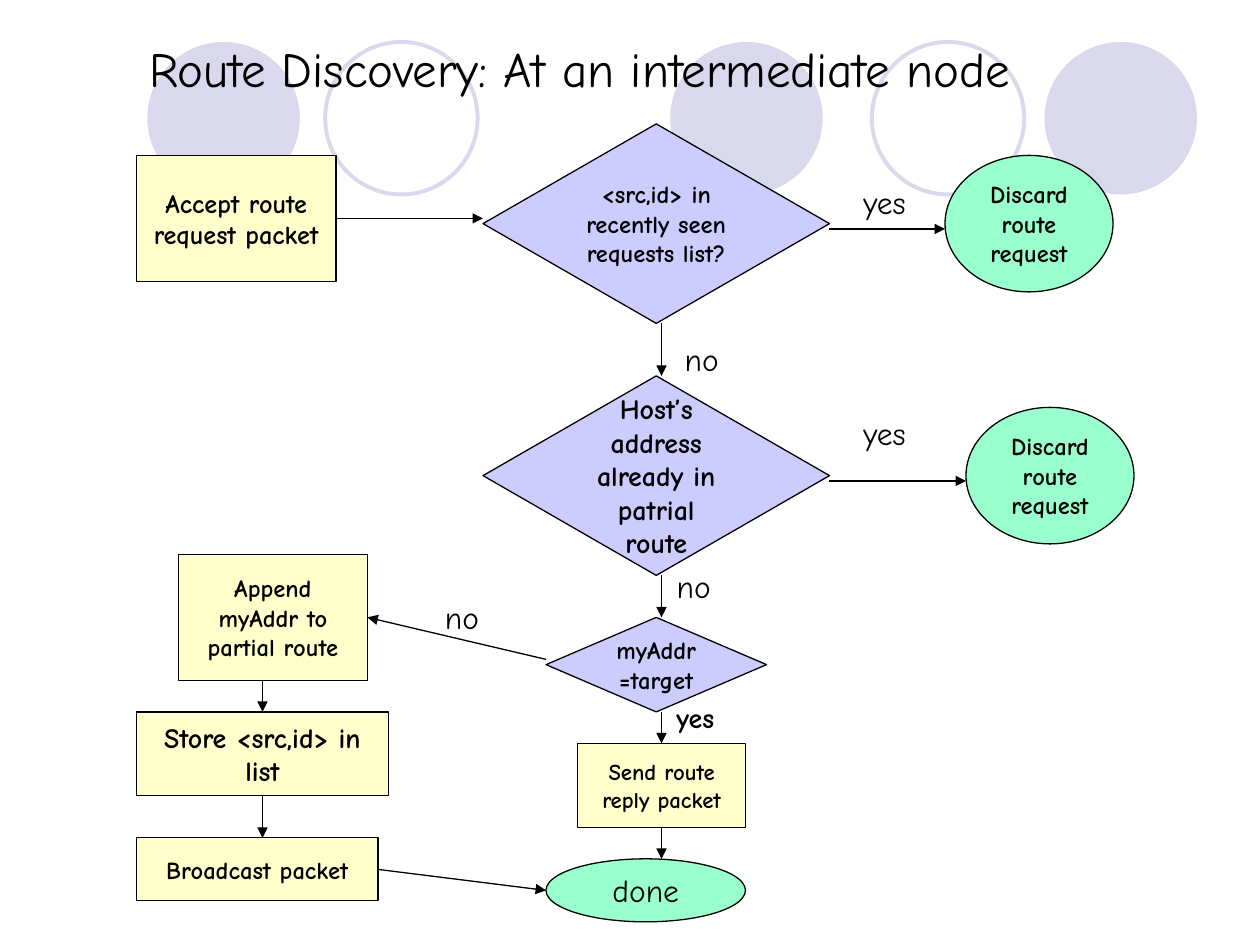
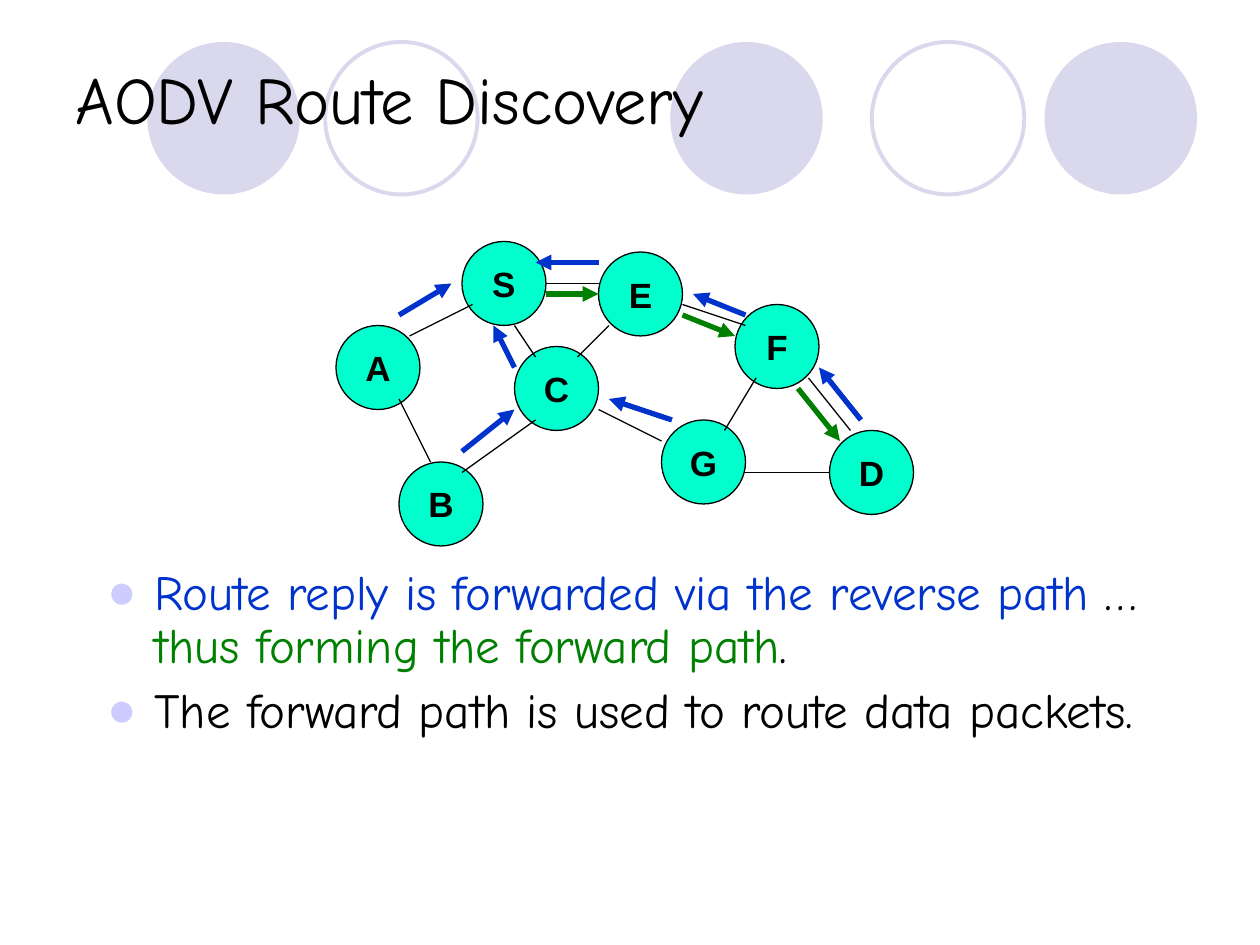
from lxml import etree
from pptx import Presentation
from pptx.dml.color import RGBColor
from pptx.enum.shapes import MSO_CONNECTOR, MSO_SHAPE
from pptx.enum.text import MSO_ANCHOR, MSO_AUTO_SIZE, PP_ALIGN
from pptx.oxml.ns import qn
from pptx.util import Pt

RECT, OVAL, DIAMOND = MSO_SHAPE.RECTANGLE, MSO_SHAPE.OVAL, MSO_SHAPE.DIAMOND
STRAIGHT = MSO_CONNECTOR.STRAIGHT
MIDDLE, BOTTOM = MSO_ANCHOR.MIDDLE, MSO_ANCHOR.BOTTOM
LEFT, CENTER = PP_ALIGN.LEFT, PP_ALIGN.CENTER

BLACK, BAND, LILAC = "000000", "D9D8EC", "CCCCFF"
CREAM, MINT, AQUA = "FFFFCC", "99FFCC", "00FFCC"
BLUE, GREEN = "0033CC", "008000"
COMIC, ARIAL = "Comic Neue", "Arial"


# Shared helpers
def rgb(code):
    return RGBColor.from_string(code)


def style(para, size, font=COMIC, bold=False, align=CENTER):
    para.alignment = align
    for run in para.runs:
        run.font.name, run.font.size, run.font.bold = font, Pt(size), bold
        run.font.color.rgb = rgb(BLACK)


def place(shape, box):
    shape.left, shape.top, shape.width, shape.height = map(Pt, box)


def draw(slide, kind, box, fill, line=BLACK, width=0.75):
    shape = slide.shapes.add_shape(kind, *map(Pt, box))
    shape.shadow.inherit = False
    if fill:
        shape.fill.solid()
        shape.fill.fore_color.rgb = rgb(fill)
    else:
        shape.fill.background()
    if line:
        shape.line.color.rgb = rgb(line)
        shape.line.width = Pt(width)
    else:
        shape.line.fill.background()
    return shape


def write(shape, text, size, font=COMIC, bold=True, wrap=True):
    frame = shape.text_frame
    frame.text = text
    frame.word_wrap = wrap
    frame.vertical_anchor = MIDDLE
    style(frame.paragraphs[0], size, font, bold)


def link(slide, origin, ends, color=BLACK, width=0.75, arrow=True):
    x, y = origin
    x1, y1, x2, y2 = ends
    line = slide.shapes.add_connector(
        STRAIGHT, Pt(x + x1), Pt(y + y1), Pt(x + x2), Pt(y + y2))
    line.line.color.rgb = rgb(color)
    line.line.width = Pt(width)
    props = line.element.spPr
    if arrow:
        etree.SubElement(props.find(qn("a:ln")), qn("a:tailEnd"), type="triangle")
    etree.SubElement(props, qn("a:effectLst"))
    return line


def head(slide, text, box, size, anchor):
    title = slide.shapes.title
    place(title, box)
    frame = title.text_frame
    frame.text = text
    frame.word_wrap = True
    frame.auto_size = MSO_AUTO_SIZE.NONE
    frame.vertical_anchor = anchor
    style(frame.paragraphs[0], size, align=LEFT)


# Row of circles on the master, behind everything
def add_band(prs, slide):
    tree = prs.slide_master.shapes.element
    circles = [(84.2, True), (185.8, False), (383, True),
               (498.2, False), (596.9, True)]
    for i, (x, solid) in enumerate(circles):
        box = (x, 24, 87.1, 87.1)
        if solid:
            disc = draw(slide, OVAL, box, BAND, None)
        else:
            disc = draw(slide, OVAL, box, None, BAND, 2.25)
        disc.element.nvSpPr.cNvPr.id = 100 + i
        tree.insert(2 + i, disc.element)


# Flow chart of the decisions at a node
def add_flow(slide, origin):
    x, y = origin
    steps = {
        "accept": (RECT, CREAM, (0, 18, 114, 72), "Accept route request packet", 15),
        "seen": (DIAMOND, LILAC, (198, 0, 198, 114),
                 "<src,id> in recently seen requests list?", 14),
        "drop": (OVAL, MINT, (462, 18, 96, 78), "Discard route request", 14),
        "host": (DIAMOND, LILAC, (198, 144, 198, 114),
                 "Host’s address already in patrial route", 16),
        "loop": (OVAL, MINT, (474, 162, 96, 78), "Discard route request", 14),
        "target": (DIAMOND, LILAC, (234, 282, 126, 54), "myAddr=target", 14),
        "append": (RECT, CREAM, (24, 246, 108, 72), "Append myAddr to partial route", 14),
        "store": (RECT, CREAM, (0, 336, 144, 48), "Store <src,id> in list", 16),
        "cast": (RECT, CREAM, (0, 408, 138, 36), "Broadcast packet", 14),
        "send": (RECT, CREAM, (252, 354, 96, 48), "Send route reply packet", 13),
        "done": (OVAL, MINT, (234, 420, 114, 36), "done", 18),
    }
    shapes = {}
    for name, (kind, fill, (dx, dy, w, h), text, size) in steps.items():
        shapes[name] = draw(slide, kind, (x + dx, y + dy, w, h), fill)
        write(shapes[name], text, size, bold=name != "done")

    # Arrows: ends, then the joined start and finish as (step, side)
    arrows = [
        ((114, 54, 198, 54), ("accept", 3), None),
        ((396, 60, 462, 60), None, None),
        ((300, 114, 300, 144), None, None),
        ((396, 204, 474, 204), None, None),
        ((300, 258, 300, 282), None, None),
        ((234, 306, 132, 282), None, ("append", 3)),
        ((72, 318, 72, 336), None, ("store", 0)),
        ((72, 384, 72, 408), ("store", 2), None),
        ((138, 426, 234, 438), ("cast", 3), None),
        ((300, 336, 300, 354), None, ("send", 0)),
        ((300, 402, 300, 420), ("send", 2), None),
    ]
    for ends, start, stop in arrows:
        line = link(slide, origin, ends)
        if start:
            line.begin_connect(shapes[start[0]], start[1])
        if stop:
            line.end_connect(shapes[stop[0]], stop[1])

    # Answers beside the arrows
    answers = [("yes", 408, 30, 39, 18), ("no", 306, 120, 34, 18),
               ("yes", 408, 162.5, 39, 18), ("no", 301.4, 249.6, 34, 18),
               ("no", 169, 267.6, 34, 18), ("yes", 301.4, 326, 36, 16)]
    for text, dx, dy, w, size in answers:
        label = slide.shapes.add_textbox(Pt(x + dx), Pt(y + dy), Pt(w), Pt(28.8))
        label.text_frame.text = text
        label.text_frame.word_wrap = False
        style(label.text_frame.paragraphs[0], size, bold=size == 16)


# Network of nodes with reply and forward paths
def add_net(slide, origin):
    x, y = origin
    nodes = {"A": (0, 48), "S": (72, 0), "E": (150, 6), "F": (228, 36),
             "B": (36, 126), "C": (102, 60), "G": (186, 102), "D": (282, 108)}
    for name, (dx, dy) in nodes.items():
        node = draw(slide, OVAL, (x + dx, y + dy, 48, 48), AQUA)
        write(node, name, 20, ARIAL, wrap=False)

    wires = [(42, 54, 78, 36), (36, 90, 54, 126), (114, 102, 72, 132),
             (156, 48, 138, 66), (198, 36, 234, 48), (240, 78, 222, 108),
             (150, 96, 186, 114), (150, 24, 120, 24), (102, 48, 114, 66),
             (270, 78, 294, 108), (234, 132, 282, 132)]
    reverse = [(150, 12, 114, 12), (36, 42, 66, 24), (102, 72, 90, 48),
               (72, 120, 102, 96), (192, 102, 156, 90), (234, 42, 204, 30),
               (300, 102, 276, 72)]
    forward = [(120, 30, 150, 30), (198, 42, 228, 54), (264, 84, 288, 114)]
    for ends in wires:
        link(slide, origin, ends, arrow=False)
    for color, paths in ((BLUE, reverse), (GREEN, forward)):
        for ends in paths:
            link(slide, origin, ends, color, 3)


# Bulleted list with coloured runs
def add_list(slide, box):
    body = slide.placeholders[1]
    place(body, box)
    frame = body.text_frame
    frame.word_wrap = True
    frame.auto_size = MSO_AUTO_SIZE.NONE
    items = [
        [("Route reply is forwarded via the reverse path", BLUE), (" … ", BLACK),
         ("thus forming the forward path", GREEN), (".", BLACK)],
        [("The forward path is used to route data packets.", BLACK)],
    ]
    for i, parts in enumerate(items):
        para = frame.paragraphs[0] if i == 0 else frame.add_paragraph()
        for text, _ in parts:
            para.add_run().text = text
        style(para, 28, align=LEFT)
        for run, (_, color) in zip(para.runs, parts):
            run.font.color.rgb = rgb(color)
        para.line_spacing = 0.9
        para.space_before = Pt(7)
        props = para._p.get_or_add_pPr()
        props.set("marL", str(Pt(27)))
        props.set("indent", str(-Pt(27)))
        tint = etree.SubElement(props, qn("a:buClr"))
        etree.SubElement(tint, qn("a:srgbClr"), val=LILAC)
        etree.SubElement(props, qn("a:buFont"), typeface=ARIAL)
        etree.SubElement(props, qn("a:buChar"), char="●")


def main():
    prs = Presentation()
    prs.slide_width, prs.slide_height = Pt(720), Pt(540)

    slide = prs.slides.add_slide(prs.slide_layouts[5])
    add_band(prs, slide)
    head(slide, "Route Discovery: At an intermediate node",
         (78, 18, 588, 41), 28, BOTTOM)
    add_flow(slide, (78, 70.8))

    slide = prs.slides.add_slide(prs.slide_layouts[1])
    head(slide, "AODV Route Discovery", (36, 21.6, 648, 68.4), 38, MIDDLE)
    add_list(slide, (54, 321, 628, 159))
    add_net(slide, (192, 138))

    prs.save("out.pptx")


if __name__ == "__main__":
    main()
